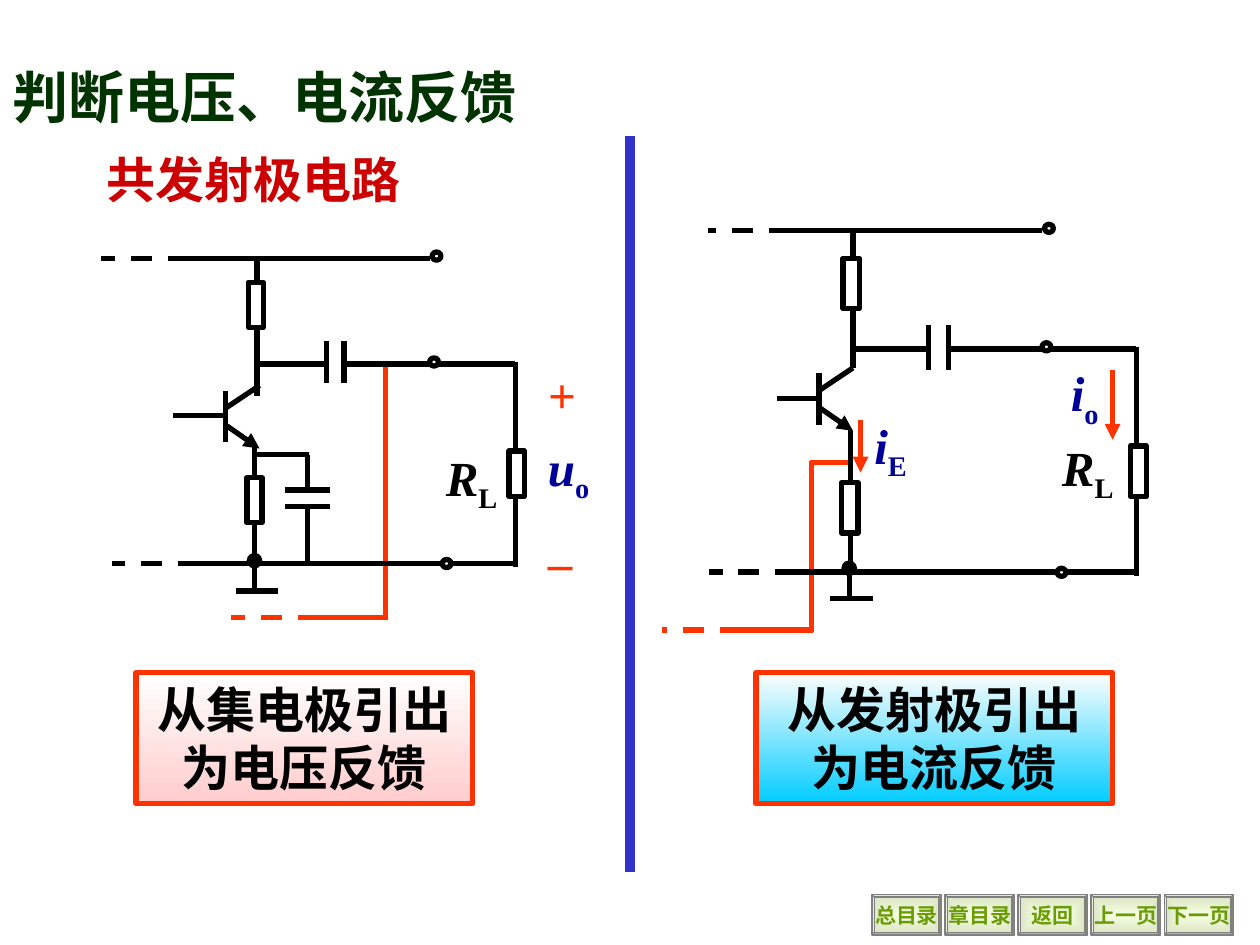
from lxml import etree
from pptx import Presentation
from pptx.dml.color import RGBColor
from pptx.enum.dml import MSO_LINE
from pptx.enum.shapes import MSO_CONNECTOR, MSO_SHAPE
from pptx.enum.text import MSO_ANCHOR, PP_ALIGN
from pptx.oxml import parse_xml
from pptx.oxml.ns import qn
from pptx.util import Inches, Pt

STRAIGHT = MSO_CONNECTOR.STRAIGHT
RECT, OVAL, BEVEL = MSO_SHAPE.RECTANGLE, MSO_SHAPE.OVAL, MSO_SHAPE.BEVEL
DASH = MSO_LINE.DASH
CENTER, TOP, MIDDLE = PP_ALIGN.CENTER, MSO_ANCHOR.TOP, MSO_ANCHOR.MIDDLE
SERIF, CJK = "Times New Roman", "Noto Sans CJK SC"
BLACK, WHITE, RED, NAVY = "000000", "FFFFFF", "FF3300", "000099"
COLUMNS, ROWS = 100, 75
RADIAL = (
    '<a:path xmlns:a="http://schemas.openxmlformats.org/drawingml/2006/main" path="rect">'
    '<a:fillToRect l="50000" t="50000" r="50000" b="50000"/></a:path>'
)


def rgb(color):
    return RGBColor.from_string(color)


class Board:
    def __init__(self, prs):
        self.s = prs.slides.add_slide(prs.slide_layouts[6])
        self.col = prs.slide_width / COLUMNS
        self.row = prs.slide_height / ROWS

    def place(self, x, y):
        return round(x * self.col), round(y * self.row)

    def line(self, start, end, color=BLACK, width=3, dash=None, head=None, tail=None):
        c = self.s.shapes.add_connector(STRAIGHT, *self.place(*start), *self.place(*end))
        c.line.color.rgb = rgb(color)
        c.line.width = Pt(width)
        if dash:
            c.line.dash_style = dash
        ln = c._element.spPr.find(qn("a:ln"))
        for tag, kind in (("a:headEnd", head), ("a:tailEnd", tail)):
            if kind:
                etree.SubElement(ln, qn(tag), type=kind)
        etree.SubElement(c._element.spPr, qn("a:effectLst"))

    def wire(self, *points, color=BLACK):
        for start, end in zip(points, points[1:]):
            self.line(start, end, color)

    def shape(self, kind, x, y, w, h, fill=None, color=BLACK, width=3):
        sp = self.s.shapes.add_shape(kind, *self.place(x, y), *self.place(w, h))
        sp.shadow.inherit = False
        sp.line.color.rgb = rgb(color)
        sp.line.width = Pt(width)
        if fill:
            sp.fill.solid()
            sp.fill.fore_color.rgb = rgb(fill)
        else:
            sp.fill.background()
        return sp

    def gradient(self, sp, *colors, radial=False):
        sp.fill.gradient()
        sp.fill.gradient_angle = 270
        for stop, color in zip(sp.fill.gradient_stops, colors):
            stop.color.rgb = rgb(color)
        if radial:
            lin = sp._element.spPr.find(".//" + qn("a:lin"))
            lin.getparent().replace(lin, parse_xml(RADIAL))

    def set_text(self, sp, text, size, color, font=SERIF, sub="", align=None, anchor=TOP, wrap=True):
        tf = sp.text_frame
        tf.word_wrap = wrap
        tf.vertical_anchor = anchor
        p = tf.paragraphs[0]
        p.text = text
        p.alignment = align
        if sub:
            p.runs[0].font.italic = True
            r = p.add_run()
            r.text = sub
            r._r.get_or_add_rPr().set("baseline", "-25000")
        for r in p.runs:
            r.font.name = font
            r.font.size = Pt(size)
            r.font.bold = True
            r.font.color.rgb = rgb(color)
            r.font._element.find(qn("a:latin")).addnext(
                etree.Element(qn("a:ea"), typeface=CJK)
            )

    def label(self, x, y, w, h, text, color, size=28, **style):
        sp = self.s.shapes.add_textbox(*self.place(x, y), *self.place(w, h))
        self.set_text(sp, text, size, color, **style)

    def conclusion(self, x, w, text, *colors):
        sp = self.shape(RECT, x, 53.4, w, 10.4, color=RED)
        self.gradient(sp, *colors)
        self.set_text(sp, text, 28, BLACK, font=CJK, align=CENTER)

    def button(self, x, text):
        sp = self.shape(BEVEL, x, 71, 5.5, 3.2, color="808080", width=0.75)
        sp.adjustments[0] = 0.06
        self.gradient(sp, "F5FEDE", "DBE3C6", radial=True)
        self.set_text(sp, text, 12, "6A9C06", align=CENTER, anchor=MIDDLE, wrap=False)

    def transistor(self, x, y, lead):
        self.line((x, y), (x, y + 4.1))
        self.line((x, y + 1.4), (x + 2.7, y - 0.4))
        self.line((x + 0.1, y + 2.8), (x + 2.7, y + 4.6), tail="triangle")
        self.line((x, y + 2), (x - lead, y + 2))

    def ground(self, x, y):
        self.line((x, y), (x, y + 2.5), head="oval")
        self.line((x - 1.5, y + 2.4), (x + 1.9, y + 2.4))

    def resistors(self, w, h, *corners):
        for x, y in corners:
            self.shape(RECT, x, y, w, h, WHITE)

    def capacitor(self, x, y, gap, length, upright=True):
        if upright:
            self.shape(RECT, x + 0.2, y + 0.2, gap - 0.2, length - 0.4, WHITE, WHITE)
            plates = [((x + d, y), (x + d, y + length)) for d in (0, gap)]
        else:
            self.shape(RECT, x + 0.2, y + 0.1, length - 0.3, gap - 0.2, WHITE, WHITE)
            plates = [((x, y + d), (x + length, y + d)) for d in (0, gap)]
        for start, end in plates:
            self.line(start, end)

    def terminals(self, *corners):
        for x, y in corners:
            self.shape(OVAL, x, y, 0.7, 0.65)

    def voltage_circuit(self):
        self.wire((30.6, 28.7), (30.6, 49.2), color=RED)
        self.wire((30.6, 49), (24, 49), color=RED)
        self.line((25.3, 49), (18.3, 49), RED, dash=DASH)
        self.wire((20.2, 35.4), (20.2, 44.6))
        self.wire((20.4, 31.4), (20.4, 20.4))
        self.wire((20.2, 28.9), (34.1, 28.9))
        self.wire((20.2, 36.1), (24.5, 36.1))
        self.wire((24.4, 36.1), (24.4, 38.9))
        self.wire((24.4, 40.1), (24.4, 44.7))
        self.wire((34.9, 44.7), (14.9, 44.7))
        self.wire((34.1, 20.5), (14.9, 20.5))
        self.line((15, 20.5), (8, 20.5), dash=DASH)
        self.line((15.8, 44.7), (8.9, 44.7), dash=DASH)
        self.wire((34.6, 28.9), (40.9, 28.9))
        self.wire((40.9, 28.7), (40.9, 45))
        self.wire((35.8, 44.7), (40.9, 44.7))
        self.transistor(17.9, 31, 4.2)
        self.terminals((34.3, 20), (34.1, 28.4), (35.1, 44.4))
        self.resistors(1.2, 3.6, (19.7, 22.4), (19.6, 37.9), (40.4, 35.8))
        self.capacitor(22.6, 38.9, 1.3, 3.6, upright=False)
        self.capacitor(25.9, 27.1, 1.4, 3.3)
        self.ground(20.2, 44.5)
        self.label(42.5, 34.2, 9.7, 6.3, "u", NAVY, sub="o")
        self.label(34.4, 35, 9.7, 6.3, "R", BLACK, sub="L")
        for y, w, sign in ((28.4, 4.2, "+"), (41.7, 3.9, "–")):
            self.label(42.5, y, w, 5.7, sign, RED, align=CENTER, anchor=MIDDLE, wrap=False)

    def current_circuit(self):
        self.wire((64.4, 36.6), (64.4, 50.2), color=RED)
        self.wire((64.5, 50), (57.2, 50), color=RED)
        self.line((61.7, 50), (52.5, 50), RED, dash=DASH)
        self.wire((64.3, 36.7), (67.3, 36.7), color=RED)
        self.wire((67.5, 34.1), (67.5, 45.4))
        self.wire((67.7, 29.2), (67.7, 18.4))
        self.wire((67.5, 27.7), (82.7, 27.7))
        self.wire((83.7, 45.4), (61.7, 45.4))
        self.wire((82.7, 18.3), (61.7, 18.3))
        self.line((65.6, 18.3), (56.2, 18.3), dash=DASH)
        self.line((63.2, 45.4), (56.3, 45.4), dash=DASH)
        self.wire((83.3, 27.7), (90.2, 27.7))
        self.wire((90.2, 27.5), (90.2, 45.7))
        self.wire((84.6, 45.4), (90.2, 45.4))
        self.transistor(65, 29.6, 3.3)
        self.terminals((82.9, 17.8), (82.7, 27.2), (83.9, 45.1))
        self.resistors(1.3, 4, (66.9, 20.5), (66.8, 38.3), (89.7, 35.4))
        self.capacitor(73.7, 25.8, 1.6, 3.6)
        self.ground(67.4, 45.1)
        self.label(83.3, 34.2, 10.7, 6.3, "R", BLACK, sub="L")
        self.label(84, 28.3, 6.8, 6.3, "i", NAVY, sub="o")
        self.label(68.4, 32.5, 8.2, 6.3, "i", NAVY, sub="E")
        self.line((88.3, 29.4), (88.3, 34.9), RED, tail="triangle")
        self.line((68.3, 33.3), (68.3, 37.5), RED, tail="triangle")


def main():
    prs = Presentation()
    prs.slide_width, prs.slide_height = Inches(10), Inches(7.5)
    board = Board(prs)
    for i, text in enumerate(("总目录", "章目录", "返回", "上一页", "下一页")):
        board.button(69.2 + 5.8 * i, text)
    board.label(7.5, 11.4, 29.2, 5.7, "共发射极电路", "CC0000", font=CJK)
    board.line((50, 10.8), (50, 69.2), "3333CC", 6)
    board.label(0, 4.5, 54.2, 6.4, "判断电压、电流反馈", "003300", size=32)
    board.voltage_circuit()
    board.current_circuit()
    board.conclusion(10.8, 26.7, "从集电极引出为电压反馈", WHITE, "FFCCCC")
    board.conclusion(60, 28.3, "从发射极引出为电流反馈", "FEFEFE", "00CCFF")
    prs.save("out.pptx")


if __name__ == "__main__":
    main()
